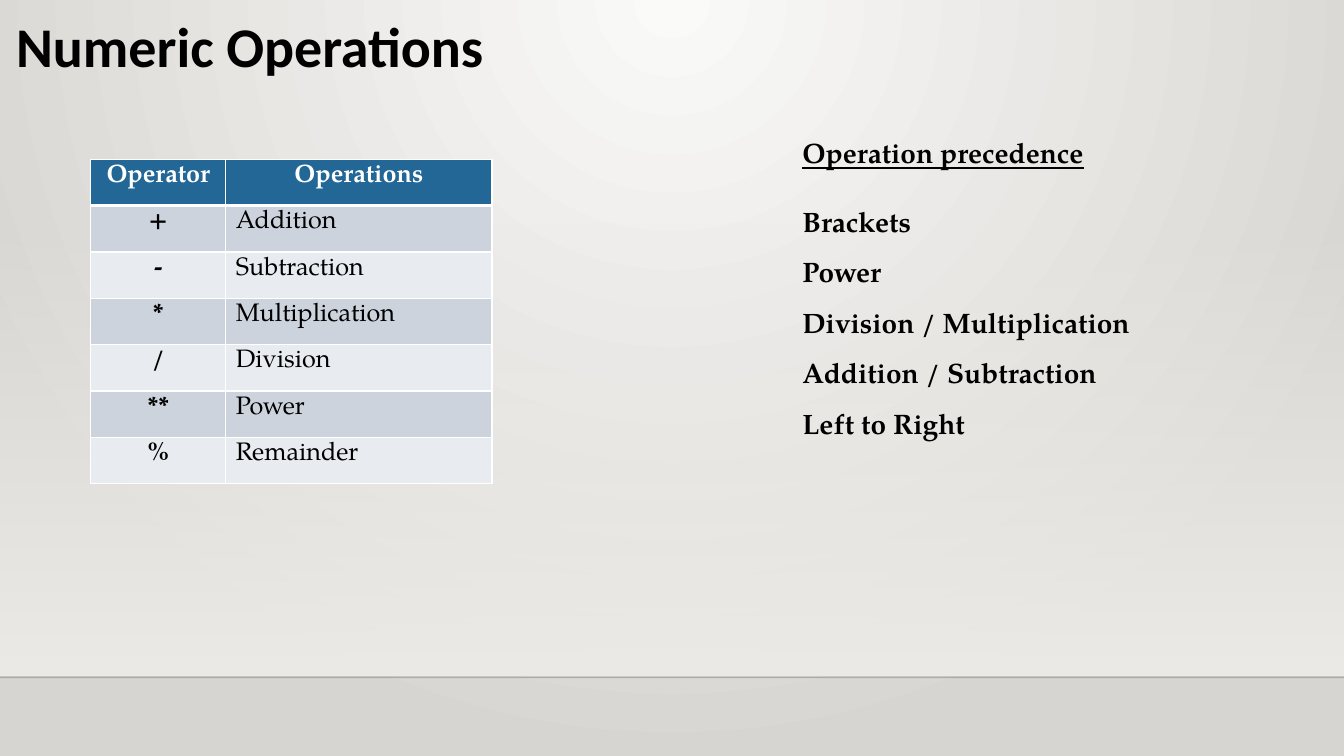
"""Build the Numeric Operations slide with an operator table and a precedence list."""
import dataclasses

import lxml.etree
import pptx
import pptx.dml.color
import pptx.enum.shapes
import pptx.enum.text
import pptx.oxml
import pptx.oxml.ns
import pptx.util

Inches = pptx.util.Inches
qn = pptx.oxml.ns.qn


@dataclasses.dataclass(frozen=True)
class Theme:
    title_font: str = "Calibri"
    body_font: str = "TeX Gyre Pagella"
    title_size: int = 40
    body_size: int = 20
    table_size: int = 18
    text: str = "000000"
    white: str = "FFFFFF"
    header: str = "236797"
    bands: tuple = ("CDD3DD", "E8EBEF")
    glow: str = "FAFAF9"
    edge: str = "D7D5D2"
    wall: str = "EDEBE7"
    rule: str = "000001"


THEME = Theme()
OPERATORS = [
    ("+", "Addition"),
    ("-", "Subtraction"),
    ("*", "Multiplication"),
    ("/", "Division"),
    ("**", "Power"),
    ("%", "Remainder"),
]
PRECEDENCE = [
    "Brackets",
    "Power",
    "Division / Multiplication",
    "Addition / Subtraction",
    "Left to Right",
]


def rgb(color):
    return pptx.dml.color.RGBColor.from_string(color)


def add_run(p, text, size, font=THEME.body_font, color=THEME.text, bold=True, underline=None):
    r = p.add_run()
    r.text = text
    r.font.name = font
    r.font.size = pptx.util.Pt(size)
    r.font.bold = bold
    r.font.underline = underline
    r.font.color.rgb = rgb(color)


def set_gradient(element, stops, direction):
    solid = next(element.iter(qn("a:solidFill")))
    gs = "".join(
        f'<a:gs pos="{pos * 1000}"><a:srgbClr val="{color}">'
        f'<a:alpha val="{alpha * 1000}"/></a:srgbClr></a:gs>'
        for pos, color, alpha in stops
    )
    grad = pptx.oxml.parse_xml(
        f'<a:gradFill {pptx.oxml.ns.nsdecls("a")} rotWithShape="1">'
        f"<a:gsLst>{gs}</a:gsLst>{direction}</a:gradFill>"
    )
    solid.getparent().replace(solid, grad)


def add_backdrop(s, width):
    s.background.fill.solid()
    set_gradient(
        s._element,
        [(0, THEME.glow, 100), (100, THEME.edge, 100)],
        '<a:path path="circle"><a:fillToRect l="43000" r="43000" b="100000"/></a:path>',
    )
    sp = s.shapes.add_shape(
        pptx.enum.shapes.MSO_SHAPE.RECTANGLE, 0, Inches(2.2), width, Inches(4.5)
    )
    sp.shadow.inherit = False
    sp.line.fill.background()
    sp.fill.solid()
    set_gradient(
        sp._element,
        [(0, THEME.wall, 0), (100, THEME.wall, 100)],
        '<a:lin ang="5400000" scaled="0"/>',
    )
    y = Inches(6.72)
    line = s.shapes.add_connector(pptx.enum.shapes.MSO_CONNECTOR.STRAIGHT, 0, y, width, y)
    line.line.width = pptx.util.Pt(1)
    line.line.color.rgb = rgb(THEME.rule)
    color = next(line._element.spPr.iter(qn("a:srgbClr")))
    lxml.etree.SubElement(color, qn("a:alpha"), val="20000")
    lxml.etree.SubElement(line._element.spPr, qn("a:effectLst"))


def add_title(s, text):
    title = s.shapes.title
    s.shapes._spTree.append(title._element)
    title.left, title.top = Inches(0.06), Inches(0.07)
    title.width, title.height = Inches(12.69), Inches(0.83)
    tf = title.text_frame
    tf.auto_size = pptx.enum.text.MSO_AUTO_SIZE.NONE
    tf.vertical_anchor = pptx.enum.text.MSO_ANCHOR.MIDDLE
    p = tf.paragraphs[0]
    p.alignment = pptx.enum.text.PP_ALIGN.LEFT
    p.line_spacing = 0.9
    add_run(p, text, THEME.title_size, THEME.title_font)


def set_borders(cell, top, bottom):
    tcPr = cell._tc.get_or_add_tcPr()
    for side, points in zip("LRTB", (1, 1, top, bottom)):
        ln = lxml.etree.SubElement(tcPr, qn(f"a:ln{side}"), w=str(pptx.util.Pt(points)))
        fill = lxml.etree.SubElement(ln, qn("a:solidFill"))
        lxml.etree.SubElement(fill, qn("a:srgbClr"), val=THEME.white)


def add_operator_table(s):
    rows = [("Operator", "Operations")] + OPERATORS
    table = s.shapes.add_table(
        len(rows), 2, Inches(0.9), Inches(1.58), Inches(3.98), Inches(3.21)
    ).table
    for column, width in zip(table.columns, (1.34, 2.64)):
        column.width = Inches(width)
    for i, row in enumerate(rows):
        table.rows[i].height = Inches(0.46)
        header = i == 0
        for j, text in enumerate(row):
            cell = table.cell(i, j)
            set_borders(cell, top=3 if i == 1 else 1, bottom=3 if header else 1)
            cell.fill.solid()
            cell.fill.fore_color.rgb = rgb(THEME.header if header else THEME.bands[(i - 1) % 2])
            p = cell.text_frame.paragraphs[0]
            centred = header or j == 0
            if centred:
                p.alignment = pptx.enum.text.PP_ALIGN.CENTER
            add_run(p, text, THEME.table_size, bold=centred,
                    color=THEME.white if header else THEME.text)


def add_text(s, lines, left, top, width, height, wrap=True, space_after=0, underline=None):
    tf = s.shapes.add_textbox(Inches(left), Inches(top), Inches(width), Inches(height)).text_frame
    tf.word_wrap = wrap
    tf.auto_size = pptx.enum.text.MSO_AUTO_SIZE.SHAPE_TO_FIT_TEXT
    for i, text in enumerate(lines):
        p = tf.add_paragraph() if i else tf.paragraphs[0]
        p.space_after = pptx.util.Pt(space_after)
        add_run(p, text, THEME.body_size, underline=underline)


def main():
    prs = pptx.Presentation()
    prs.slide_width, prs.slide_height = Inches(13.33), Inches(7.5)
    s = prs.slides.add_slide(prs.slide_layouts.get_by_name("Title Only"))
    add_backdrop(s, prs.slide_width)
    add_title(s, "Numeric Operations")
    add_operator_table(s)
    add_text(s, ["Operation precedence"], 7.86, 1.3, 3.01, 0.44, wrap=False, underline=True)
    add_text(s, PRECEDENCE, 7.86, 1.98, 4.9, 2.46, space_after=12)
    prs.save("out.pptx")


if __name__ == "__main__":
    main()
